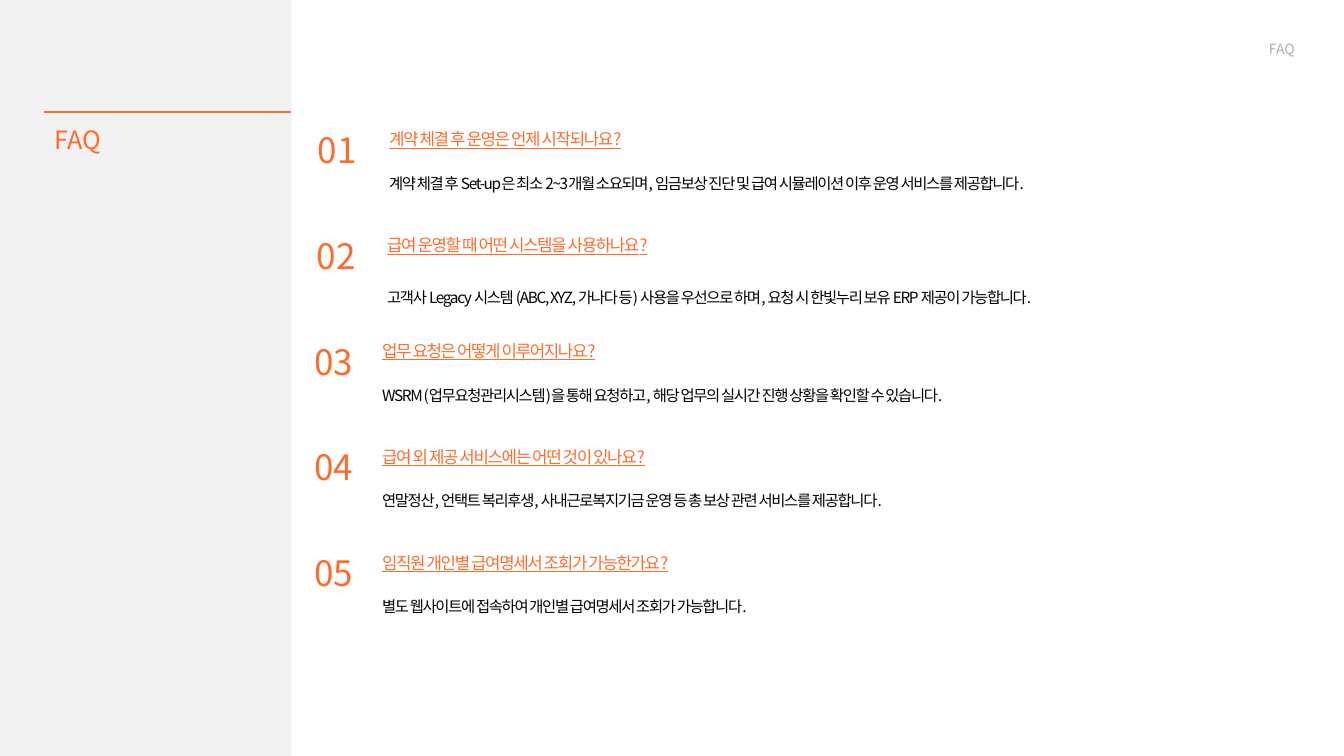
import dataclasses

import lxml.etree
import pptx
import pptx.dml.color
import pptx.enum.shapes
import pptx.enum.text
import pptx.oxml.ns
import pptx.util

PX = 9144  # EMU per px, 100 px to the inch
ALIGN = pptx.enum.text.PP_ALIGN
ANCHOR = pptx.enum.text.MSO_ANCHOR


@dataclasses.dataclass(frozen=True)
class Theme:
    font: str = "Noto Sans CJK KR"
    accent: str = "FF6D2D"
    number_color: str = "FE6C2D"
    panel: str = "F2F2F2"
    paper: str = "FFFFFF"
    ink: str = "000000"
    muted: str = "AFABAB"
    title_size: int = 18
    number_size: int = 25
    question_size: int = 12
    answer_size: int = 11
    header_size: int = 10


def rgb(value):
    return pptx.dml.color.RGBColor.from_string(value)


def add_child(parent, tag, **attributes):
    return lxml.etree.SubElement(parent, pptx.oxml.ns.qn(tag), **attributes)


class SlideBuilder:
    def __init__(self, slide, theme):
        self.slide = slide
        self.theme = theme

    def fill_text(self, frame, text, size, color, spacing=None, align=None,
                  underline=False, tracking=0):
        """Put one styled line of text in a frame; tracking is in points."""
        para = frame.paragraphs[0]
        for name, value in {"alignment": align, "line_spacing": spacing}.items():
            setattr(para, name, value)
        span = para.add_run()
        span.text = text
        span.font.color.rgb = rgb(color)
        formats = {"name": self.theme.font, "size": pptx.util.Pt(size),
                   "underline": underline, "bold": False}
        for name, value in formats.items():
            setattr(span.font, name, value)
        properties = span.font._element
        add_child(properties, "a:ea", typeface=self.theme.font)
        if tracking:
            properties.set("spc", str(tracking * 100))

    def rectangle(self, left, top, width, height, color):
        box = self.slide.shapes.add_shape(
            pptx.enum.shapes.MSO_SHAPE.RECTANGLE,
            left * PX, top * PX, width * PX, height * PX)
        box.shadow.inherit = False
        box.fill.solid()
        box.fill.fore_color.rgb = rgb(color)
        box.line.fill.background()

    def rule(self, left, right, y, color, weight):
        line = self.slide.shapes.add_connector(
            pptx.enum.shapes.MSO_CONNECTOR.STRAIGHT,
            left * PX, y * PX, right * PX, y * PX)
        line.line.color.rgb = rgb(color)
        line.line.width = pptx.util.Pt(weight)
        add_child(line._element.spPr, "a:effectLst")

    def text(self, left, top, width, height, text, size, color, **style):
        box = self.slide.shapes.add_textbox(
            left * PX, top * PX, width * PX, height * PX)
        box.text_frame.word_wrap = True
        self.fill_text(box.text_frame, text, size, color, **style)

    def faq_table(self, left, top, widths, row_height, number, question, answer,
                  question_spacing, answer_spacing):
        """Draw a number merged over two rows, beside a question and its answer."""
        theme = self.theme
        table = self.slide.shapes.add_table(
            2, 2, left * PX, top * PX, sum(widths) * PX, 2 * row_height * PX).table
        for flag in ("first_row", "horz_banding"):
            setattr(table, flag, False)
        for column, width in zip(table.columns, widths):
            column.width = width * PX
        for cell in table.iter_cells():
            cell.fill.solid()
            cell.fill.fore_color.rgb = rgb(theme.paper)
        number_cell, question_cell, answer_cell = (
            table.cell(*place) for place in ((0, 0), (0, 1), (1, 1)))
        number_cell.merge(table.cell(1, 0))
        for cell in (question_cell, answer_cell):
            cell.vertical_anchor = ANCHOR.MIDDLE
        self.fill_text(number_cell.text_frame, number, theme.number_size,
                       theme.number_color, align=ALIGN.CENTER)
        self.fill_text(question_cell.text_frame, question, theme.question_size,
                       theme.number_color, question_spacing, underline=True, tracking=-1)
        self.fill_text(answer_cell.text_frame, answer, theme.answer_size,
                       theme.ink, answer_spacing, tracking=-1)


LOOSE = pptx.util.Pt(17)
TIGHT = pptx.util.Pt(12)

# number column width, question spacing, answer spacing, question, answer
FAQS = [
    (83, None, TIGHT, "계약 체결 후 운영은 언제 시작되나요?",
     "계약 체결 후 Set-up은 최소 2~3개월 소요되며, 임금보상 진단 및 급여 시뮬레이션 이후 "
     "운영 서비스를 제공합니다."),
    (81, None, 1.5, "급여 운영할 때 어떤 시스템을 사용하나요?",
     "고객사 Legacy 시스템 (ABC, XYZ, 가나다 등) 사용을 우선으로 하며, 요청 시 한빛누리 보유 "
     "ERP 제공이 가능합니다."),
    (76, LOOSE, TIGHT, "업무 요청은 어떻게 이루어지나요?",
     "WSRM (업무요청관리시스템)을 통해 요청하고, 해당 업무의 실시간 진행 상황을 확인할 수 "
     "있습니다."),
    (76, LOOSE, TIGHT, "급여 외 제공 서비스에는 어떤 것이 있나요?",
     "연말정산, 언택트 복리후생, 사내근로복지기금 운영 등 총 보상 관련 서비스를 제공합니다."),
    (76, LOOSE, TIGHT, "임직원 개인별 급여명세서 조회가 가능한가요?",
     "별도 웹사이트에 접속하여 개인별 급여명세서 조회가 가능합니다."),
]
TABLE_LEFT, TABLE_TOP, TABLE_WIDTH = 293, 117, 993
TABLE_PITCH, ROW_HEIGHT = 105, 41


def main():
    deck = pptx.Presentation()
    deck.slide_width, deck.slide_height = 1333 * PX, 750 * PX
    theme = Theme()
    page = SlideBuilder(deck.slides.add_slide(deck.slide_layouts[6]), theme)

    page.rectangle(0, 0, 289, 750, theme.panel)
    page.rule(44, 289, 111, theme.accent, 1.5)
    page.text(44, 122, 219, 76, "FAQ", theme.title_size, theme.accent, spacing=0.9)
    for index, (width, question_spacing, answer_spacing, question, answer) in enumerate(FAQS):
        page.faq_table(TABLE_LEFT, TABLE_TOP + index * TABLE_PITCH,
                       (width, TABLE_WIDTH - width), ROW_HEIGHT,
                       f"{index + 1:02d}", question, answer,
                       question_spacing, answer_spacing)
    page.text(1108, 35, 186, 27, "FAQ", theme.header_size, theme.muted,
              align=ALIGN.RIGHT)
    deck.save("out.pptx")


if __name__ == "__main__":
    main()
